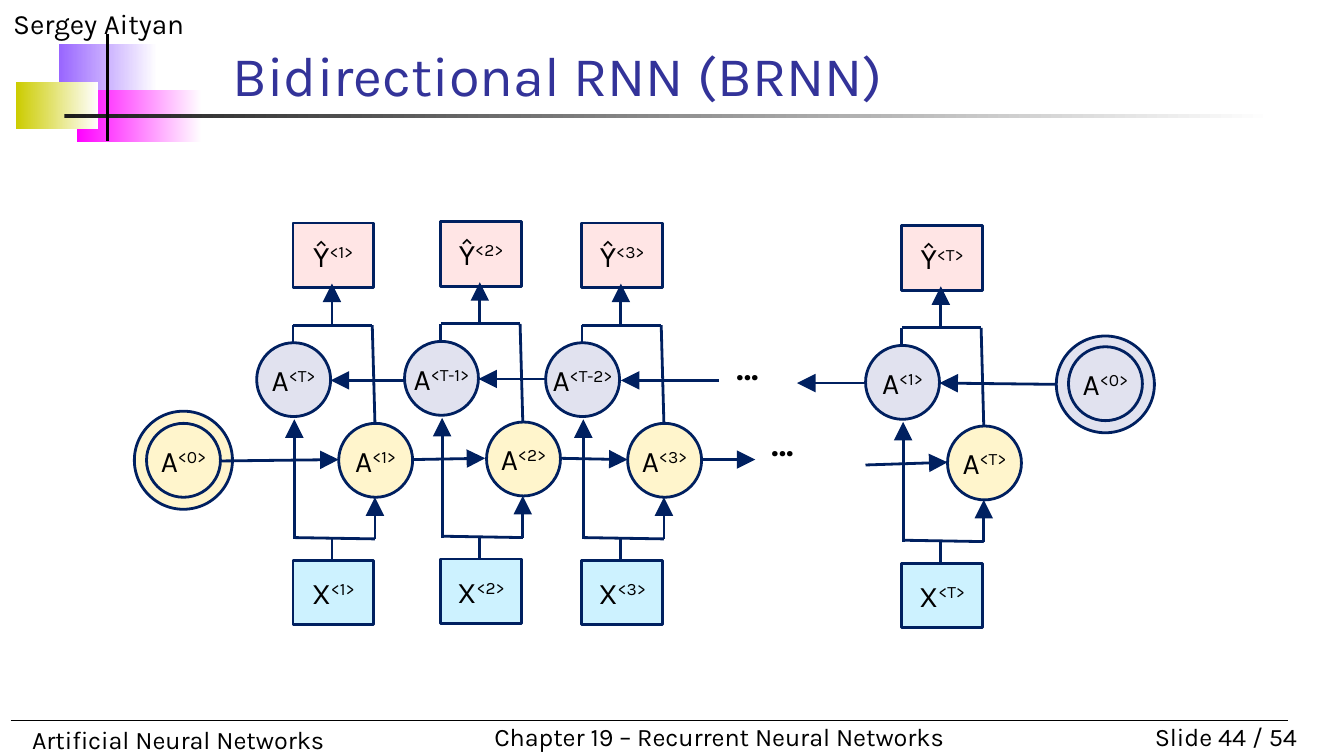
"""Build a slide that shows the structure of a bidirectional RNN."""
from lxml.etree import SubElement
from pptx import Presentation
from pptx.dml.color import RGBColor
from pptx.enum.shapes import MSO_CONNECTOR, MSO_SHAPE
from pptx.enum.text import MSO_ANCHOR, MSO_AUTO_SIZE, PP_ALIGN
from pptx.oxml.ns import qn
from pptx.util import Inches, Pt

COLORS = {
    "black": "000000", "white": "FFFFFF", "title": "333399", "navy": "002060",
    "violet": "9966FF", "magenta": "FF00FF", "olive": "CCCC00", "rule": "1C1C1C",
    "forward": "FFF5CC", "backward": "E1E2EF", "input": "CDF2FF", "output": "FFE5E5",
}
RGB = {name: RGBColor.from_string(value) for name, value in COLORS.items()}


def write(s, text, sup="", size=16, color="black", bold=False, align=PP_ALIGN.LEFT,
          anchor=MSO_ANCHOR.TOP, wrap=True, inset=None, fit=MSO_AUTO_SIZE.NONE):
    """Put text with an optional superscript into a shape."""
    tf = s.text_frame
    tf.word_wrap = wrap
    tf.auto_size = fit
    tf.vertical_anchor = anchor
    if inset is not None:
        tf.margin_left = tf.margin_right = tf.margin_top = tf.margin_bottom = Inches(inset)
    p = tf.paragraphs[0]
    p.alignment = align
    for part in filter(None, (text, sup)):
        r = p.add_run()
        r.text = part
        r.font.name = "Karla"
        r.font.size = Pt(size)
        r.font.bold = bold
        r.font.color.rgb = RGB[color]
    if sup:
        r.font._element.set("baseline", "30000")


def connect(x1, y1, x2, y2, color="navy", width=1.5, arrow=False):
    """Draw a straight line, with an arrowhead at its end if asked."""
    s = slide.shapes.add_connector(
        MSO_CONNECTOR.STRAIGHT, Inches(x1), Inches(y1), Inches(x2), Inches(y2))
    s.line.color.rgb = RGB[color]
    s.line.width = Pt(width)
    if arrow:
        SubElement(s.line._get_or_add_ln(), qn("a:tailEnd"), type="triangle", w="lg", len="lg")
    SubElement(s._element.spPr, qn("a:effectLst"))


prs = Presentation()
prs.slide_width = Inches(10)
prs.slide_height = prs.slide_width * 9 // 16
slide = prs.slides.add_slide(prs.slide_layouts[5])

for x, y, w, h, color in [
    (0.44, 0.33, 0.73, 0.39, "violet"),
    (0.57, 0.67, 0.93, 0.39, "magenta"),
    (0.12, 0.61, 0.61, 0.35, "olive"),
    (0.48, 0.85, 9, 0.03, "rule"),
]:
    s = slide.shapes.add_shape(
        MSO_SHAPE.RECTANGLE, Inches(x), Inches(y), Inches(w), Inches(h))
    s.shadow.inherit = False
    s.line.fill.background()
    s.fill.gradient()
    s.fill.gradient_angle = 0
    for stop, name in zip(s.fill.gradient_stops, (color, "white")):
        stop.color.rgb = RGB[name]

connect(0.08, 5.36, 9.58, 5.36, color="black", width=0.75)
connect(0.8, 0.25, 0.8, 1.05, color="black", width=2)

title = slide.shapes.title
title.left, title.top = Inches(1.63), Inches(0.31)
title.width, title.height = Inches(8.2), Inches(0.54)
write(title, "Bidirectional RNN (BRNN)", size=30, color="title", anchor=MSO_ANCHOR.BOTTOM)

for x, y, w, h, text, style in [
    (0, 0, 2.5, 0.35, "Sergey Aityan", {"size": 15}),
    (8.25, 5.32, 1.5, 0.33, "Slide 44 / 54", {"size": 13.5, "align": PP_ALIGN.RIGHT}),
    (0.14, 5.34, 3.7, 0.33, "Artificial Neural Networks", {"size": 13.5}),
    (3.58, 5.32, 3.6, 0.33, "Chapter 19 – Recurrent Neural Networks",
     {"size": 13.5, "wrap": False}),
    (5.38, 2.53, 0.59, 0.44, "…", {"size": 18, "bold": True}),
    (5.64, 3.1, 0.59, 0.44, "…", {"size": 18, "bold": True}),
]:
    s = slide.shapes.add_textbox(Inches(x), Inches(y), Inches(w), Inches(h))
    write(s, text, fit=MSO_AUTO_SIZE.SHAPE_TO_FIT_TEXT, **style)

for x1, y1, x2, y2 in [
    (3.06, 3.42, 3.61, 3.41), (4.16, 3.41, 4.67, 3.42), (5.22, 3.42, 5.62, 3.42),
    (6.44, 3.46, 7.05, 3.44), (7.86, 2.86, 6.99, 2.85), (6.44, 2.85, 5.93, 2.85),
    (5.35, 2.83, 4.62, 2.83), (4.29, 2.82, 3.56, 2.82), (3.19, 2.83, 2.46, 2.83),
]:
    connect(x1, y1, x2, y2, arrow=True)

oval, box = MSO_SHAPE.OVAL, MSO_SHAPE.RECTANGLE
nodes = [
    (oval, 1, 3.06, 0.73, 0.73, "forward", "", ""),
    (oval, 1.09, 3.15, 0.55, 0.55, "forward", "A", "<0>"),
    (oval, 7.86, 2.5, 0.73, 0.72, "backward", "", ""),
    (oval, 7.95, 2.58, 0.55, 0.55, "backward", "A", "<0>"),
]
steps = [
    (2.18, 0, "<1>", "<T>"),
    (3.28, -0.01, "<2>", "<T-1>"),
    (4.33, 0, "<3>", "<T-2>"),
    (6.71, 0.02, "<T>", "<1>"),
]
for x, dy, step, reverse in steps:
    nodes += [
        (oval, x + 0.34, 3.15 + dy, 0.55, 0.55, "forward", "A", step),
        (oval, x - 0.27, 2.55 + dy, 0.55, 0.55, "backward", "A", reverse),
        (box, x, 4.17 + dy, 0.6, 0.48, "input", "X", step),
        (box, x, 1.66 + dy, 0.6, 0.48, "output", "Ŷ", step),
    ]
for kind, x, y, w, h, color, text, sup in nodes:
    s = slide.shapes.add_shape(kind, Inches(x), Inches(y), Inches(w), Inches(h))
    s.shadow.inherit = False
    s.fill.solid()
    s.fill.fore_color.rgb = RGB[color]
    s.line.color.rgb = RGB["navy"]
    s.line.width = Pt(1.5)
    if text:
        write(s, text, sup=sup, align=PP_ALIGN.CENTER, anchor=MSO_ANCHOR.MIDDLE,
              wrap=False, inset=0)

connect(1.64, 3.43, 2.52, 3.42, arrow=True)
for x, dy, step, reverse in steps:
    for x1, y1, x2, y2, arrow in [
        (0.61, 3.15, 0.59, 2.42, False),
        (0, 2.55, 0, 2.42, False),
        (0, 2.42, 0.59, 2.42, False),
        (0.29, 2.42, 0.29, 2.11, True),
        (0.29, 4.17, 0.29, 4.01, False),
        (0.01, 4, 0.61, 4.01, False),
        (0.01, 4.01, 0.01, 3.12, True),
        (0.61, 4.01, 0.61, 3.7, True),
    ]:
        connect(x + x1, y1 + dy, x + x2, y2 + dy, arrow=arrow)

prs.save("out.pptx")
